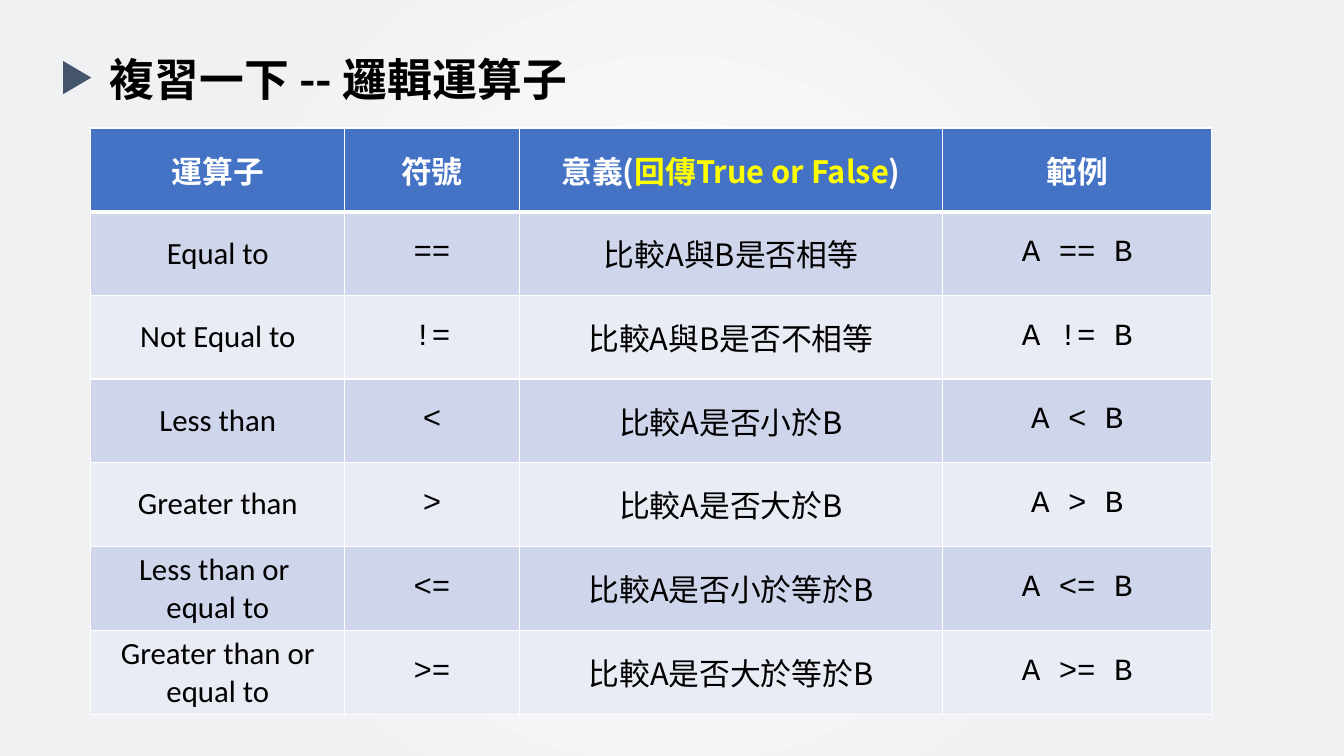
from lxml import etree
from pptx import Presentation, util as u
from pptx.dml.color import RGBColor
from pptx.enum import shapes, text
from pptx.oxml import parse_xml
from pptx.oxml.ns import nsdecls, qn

CJK, MONO, SANS = "Noto Sans CJK SC", "Courier New", "Calibri"
WHITE, BLACK, YELLOW = "FFFFFF", "000000", "FFFF00"
HEADER_FILL, BAND_FILLS = "4472C4", ("CFD5EA", "E9EBF5")
WIDTH, HEIGHT = 13.33, 7.5

TITLE = "複習一下 -- 邏輯運算子"
HEADERS = [
    [("運算子", WHITE)],
    [("符號", WHITE)],
    [("意義(", WHITE), ("回傳True or False", YELLOW), (")", WHITE)],
    [("範例", WHITE)],
]
HEADER_FONTS = (CJK, MONO, CJK, MONO)
OPERATORS = [
    ("Equal to", "==", "A與B是否相等"),
    ("Not Equal to", "!=", "A與B是否不相等"),
    ("Less than", "<", "A是否小於B"),
    ("Greater than", ">", "A是否大於B"),
    ("Less than or \nequal to", "<=", "A是否小於等於B"),
    ("Greater than or equal to", ">=", "A是否大於等於B"),
]
BODY_FONTS = (SANS, MONO, CJK, MONO)
COLUMNS = (2.52, 1.73, 4.2, 2.67)
ROW_HEIGHT = 0.83
TABLE_LEFT, TABLE_TOP = 0.9, 1.27


def color(value):
    return RGBColor.from_string(value)


def box(left, top, width, height):
    return [u.Inches(value) for value in (left, top, width, height)]


def add_run(paragraph, wording, font_name, size, hex_color, bold):
    run = paragraph.add_run()
    run.text = wording
    formats = {"name": font_name, "size": u.Pt(size), "bold": bold}
    for name, value in formats.items():
        setattr(run.font, name, value)
    run.font.color.rgb = color(hex_color)
    latin = run.font._element.find(qn("a:latin"))
    east_asian = etree.Element(qn("a:ea"), typeface=CJK)
    latin.addnext(east_asian)


def set_borders(cell, bottom):
    properties = cell._tc.get_or_add_tcPr()
    for side, points in {"L": 1, "R": 1, "T": 1, "B": bottom}.items():
        properties.append(parse_xml(
            f'<a:ln{side} {nsdecls("a")} w="{u.Pt(points)}"><a:solidFill>'
            f'<a:srgbClr val="{WHITE}"/></a:solidFill></a:ln{side}>'))


def fill_cell(cell, paragraphs, font_name, fill, bold, bottom):
    set_borders(cell, bottom)
    cell.fill.solid()
    cell.fill.fore_color.rgb = color(fill)
    cell.vertical_anchor = text.MSO_ANCHOR.MIDDLE
    frame = cell.text_frame
    for index, runs in enumerate(paragraphs):
        paragraph = frame.add_paragraph() if index else frame.paragraphs[0]
        paragraph.alignment = text.PP_ALIGN.CENTER
        for wording, hex_color in runs:
            add_run(paragraph, wording, font_name, 22, hex_color, bold)


def add_background(slide):
    fill = slide.background.fill
    fill.gradient()
    for stop, (position, value) in zip(fill.gradient_stops, ((0, WHITE), (0.67, "F0F1F3"))):
        stop.color.rgb = color(value)
        stop.position = position
    linear = next(slide.element.iter(qn("a:lin")))
    linear.getparent().replace(linear, parse_xml(
        f'<a:path {nsdecls("a")} path="circle"><a:fillToRect '
        'l="50000" t="50000" r="50000" b="50000"/></a:path>'))


def add_title(slide):
    title = slide.shapes.add_textbox(*box(0.99, 0.46, 11.7, 0.64))
    title.text_frame.word_wrap = True
    add_run(title.text_frame.paragraphs[0], TITLE, CJK, 32, BLACK, True)
    marker = slide.shapes.add_shape(
        shapes.MSO_SHAPE.ISOSCELES_TRIANGLE, *box(0.6, 0.63, 0.33, 0.28))
    marker.rotation = 90
    marker.shadow.inherit = False
    marker.fill.solid()
    marker.fill.fore_color.rgb = color("44546A")
    marker.line.fill.background()


def add_operator_table(slide):
    row_count = len(OPERATORS) + 1
    table = slide.shapes.add_table(
        row_count, len(COLUMNS),
        *box(TABLE_LEFT, TABLE_TOP, sum(COLUMNS), ROW_HEIGHT * row_count)).table
    for column, width in zip(table.columns, COLUMNS):
        column.width = u.Inches(width)
    for row in table.rows:
        row.height = u.Inches(ROW_HEIGHT)
    for column, (runs, font_name) in enumerate(zip(HEADERS, HEADER_FONTS)):
        fill_cell(table.cell(0, column), [runs], font_name, HEADER_FILL, True, 3)
    for row, (name, symbol, meaning) in enumerate(OPERATORS, 1):
        wordings = (name, symbol, f"比較{meaning}", f"A {symbol} B")
        for column, (wording, font_name) in enumerate(zip(wordings, BODY_FONTS)):
            paragraphs = [[(line, BLACK)] for line in wording.split("\n")]
            fill = BAND_FILLS[(row - 1) % 2]
            fill_cell(table.cell(row, column), paragraphs, font_name, fill, False, 1)


def main():
    presentation = Presentation()
    presentation.slide_width = u.Inches(WIDTH)
    presentation.slide_height = u.Inches(HEIGHT)
    slide = presentation.slides.add_slide(presentation.slide_layouts[6])
    add_background(slide)
    add_title(slide)
    add_operator_table(slide)
    presentation.save("out.pptx")


if __name__ == "__main__":
    main()
